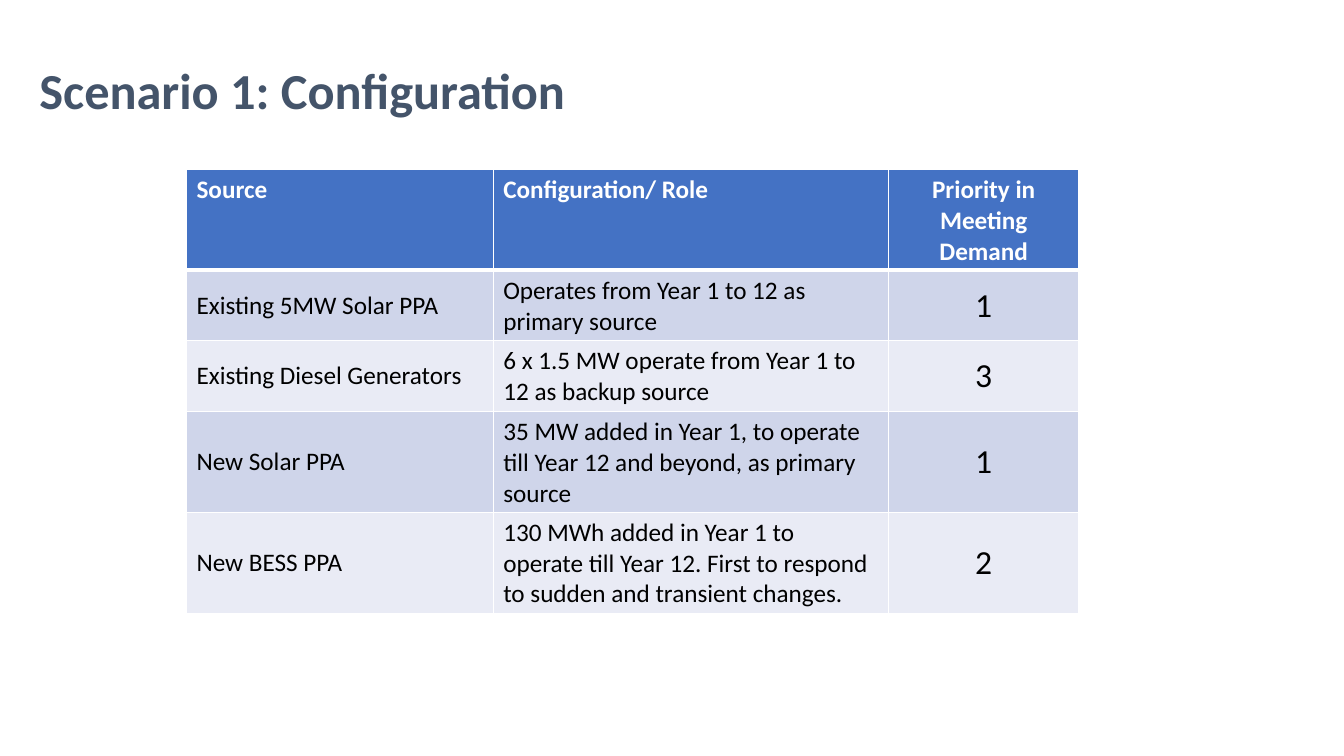
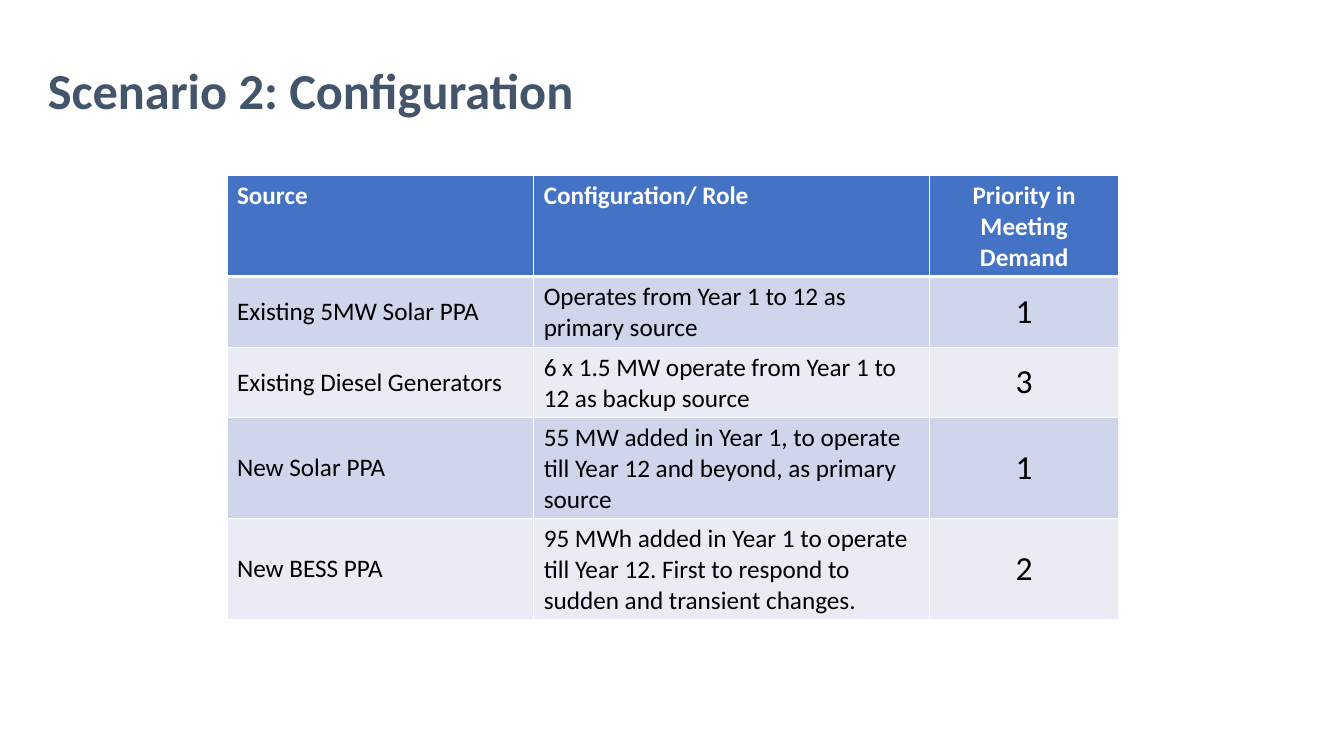
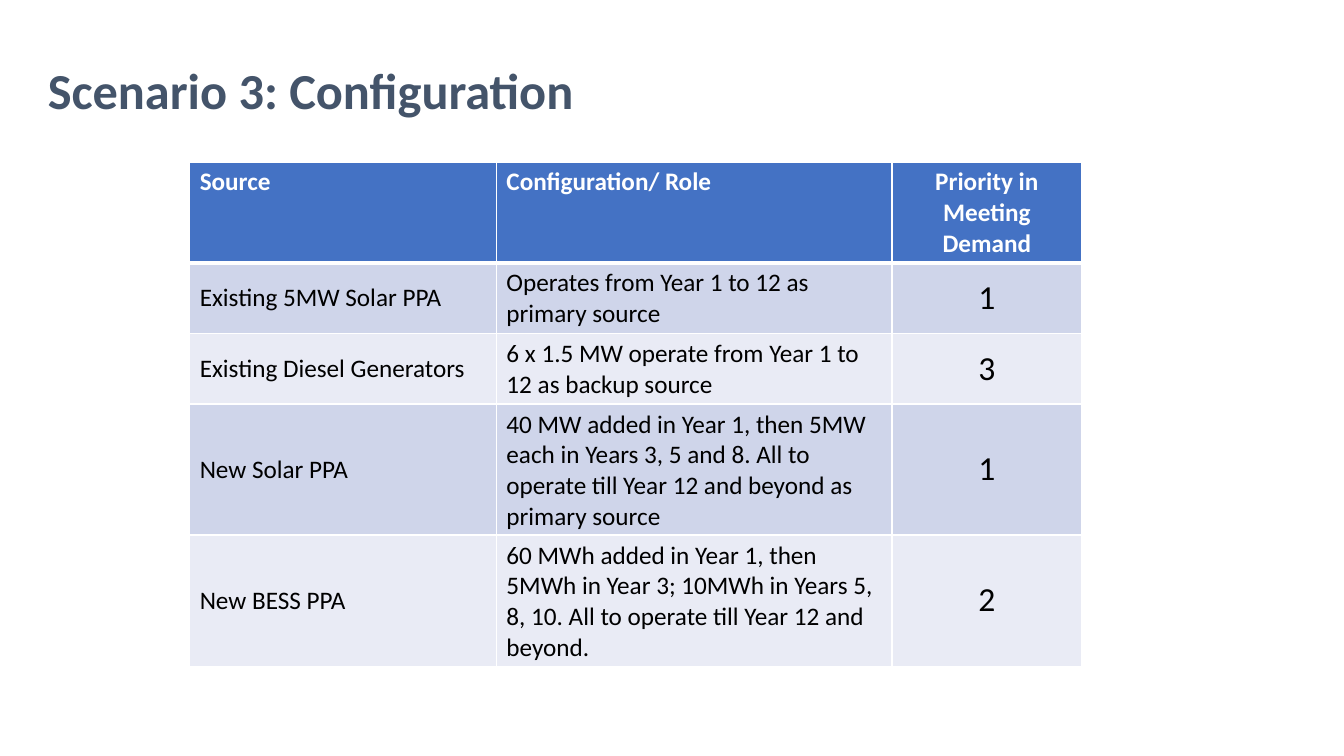
from dataclasses import dataclass

from lxml.etree import SubElement
from pptx import Presentation
from pptx.dml.color import RGBColor
from pptx.enum.text import MSO_ANCHOR, MSO_AUTO_SIZE, PP_ALIGN
from pptx.oxml.ns import qn
from pptx.slide import Slide
from pptx.table import _Cell as Cell
from pptx.text.text import _Paragraph as Paragraph
from pptx.util import Cm, Pt


@dataclass(frozen=True)
class Theme:
    font: str = "Calibri"
    title: str = "44546A"
    header: str = "4472C4"
    bands: tuple[str, str] = ("CFD5EA", "E9EBF5")
    light: str = "FFFFFF"
    dark: str = "000000"
    title_size: int = 36
    text_size: int = 18
    priority_size: int = 24
    rule: int = 1
    header_rule: int = 3


@dataclass(frozen=True)
class Scenario:
    number: int
    title_left: float
    table_left: float
    table_top: float
    solar_role: str
    storage_role: str

    def rows(self) -> list[tuple[str, str, str]]:
        return [
            ("Source", "Configuration/ Role", "Priority in Meeting Demand"),
            ("Existing 5MW Solar PPA", "Operates from Year 1 to 12 as primary source", "1"),
            ("Existing Diesel Generators",
             "6 x 1.5 MW operate from Year 1 to 12 as backup source", "3"),
            ("New Solar PPA", self.solar_role, "1"),
            ("New BESS PPA", self.storage_role, "2"),
        ]


THEME = Theme()
COLUMN_WIDTHS = (7.73, 9.97, 4.78)
ROW_HEIGHTS = (1.42, 1.42, 1.75, 1.8, 1.8)
PRIORITY_COLUMN = 2

SCENARIOS = (
    Scenario(
        1, 0.74, 4.7, 4.27,
        "35 MW added in Year 1, to operate till Year 12 and beyond, as primary source",
        "130 MWh added in Year 1 to operate till Year 12. "
        "First to respond to sudden and transient changes.",
    ),
    Scenario(
        2, 0.95, 5.72, 4.43,
        "55 MW added in Year 1, to operate till Year 12 and beyond, as primary source",
        "95 MWh added in Year 1 to operate till Year 12. "
        "First to respond to sudden and transient changes.",
    ),
    Scenario(
        3, 0.95, 4.78, 4.08,
        "40 MW added in Year 1, then 5MW each in Years 3, 5 and 8. "
        "All to operate till Year 12 and beyond as primary source",
        "60 MWh added in Year 1, then 5MWh in Year 3; 10MWh in Years 5, 8, 10. "
        "All to operate till Year 12 and beyond.",
    ),
)


def format_text(para: Paragraph, size: int, color: str, bold: bool,
                align: PP_ALIGN = PP_ALIGN.LEFT) -> None:
    para.alignment = align
    for span in para.runs:
        span.font.name = THEME.font
        span.font.size = Pt(size)
        span.font.bold = bold
        span.font.color.rgb = RGBColor.from_string(color)


def add_title(slide: Slide, scenario: Scenario) -> None:
    title = slide.shapes.title
    title.left, title.top = Cm(scenario.title_left), Cm(1.35)
    title.width, title.height = Cm(20.19), Cm(1.8)
    frame = title.text_frame
    frame.text = f"Scenario {scenario.number}: Configuration"
    frame.word_wrap = True
    frame.auto_size = MSO_AUTO_SIZE.SHAPE_TO_FIT_TEXT
    frame.vertical_anchor = MSO_ANCHOR.TOP
    format_text(frame.paragraphs[0], THEME.title_size, THEME.title, True)


def set_borders(cell: Cell, top: int, bottom: int) -> None:
    """Rule the four sides; must run before the fill, which follows them in the XML."""
    properties = cell._tc.get_or_add_tcPr()
    widths = {"a:lnL": THEME.rule, "a:lnR": THEME.rule, "a:lnT": top, "a:lnB": bottom}
    for tag, width in widths.items():
        line = SubElement(properties, qn(tag), w=str(Pt(width)))
        fill = SubElement(line, qn("a:solidFill"))
        SubElement(fill, qn("a:srgbClr"), val=THEME.light)


def fill_cell(cell: Cell, text: str, row: int, column: int) -> None:
    is_header = row == 0
    is_priority = column == PRIORITY_COLUMN
    set_borders(
        cell,
        top=THEME.header_rule if row == 1 else THEME.rule,
        bottom=THEME.header_rule if is_header else THEME.rule,
    )
    cell.fill.solid()
    cell.fill.fore_color.rgb = RGBColor.from_string(
        THEME.header if is_header else THEME.bands[(row - 1) % 2])
    cell.vertical_anchor = MSO_ANCHOR.TOP if is_header else MSO_ANCHOR.MIDDLE
    cell.text_frame.text = text
    format_text(
        cell.text_frame.paragraphs[0],
        THEME.priority_size if is_priority and not is_header else THEME.text_size,
        THEME.light if is_header else THEME.dark,
        is_header,
        PP_ALIGN.CENTER if is_priority else PP_ALIGN.LEFT,
    )


def add_configuration_table(slide: Slide, scenario: Scenario) -> None:
    table = slide.shapes.add_table(
        len(ROW_HEIGHTS), len(COLUMN_WIDTHS),
        Cm(scenario.table_left), Cm(scenario.table_top),
        Cm(sum(COLUMN_WIDTHS)), Cm(sum(ROW_HEIGHTS)),
    ).table
    for column, width in zip(table.columns, COLUMN_WIDTHS):
        column.width = Cm(width)
    for row, height in zip(table.rows, ROW_HEIGHTS):
        row.height = Cm(height)
    for row_index, texts in enumerate(scenario.rows()):
        for column_index, text in enumerate(texts):
            fill_cell(table.cell(row_index, column_index), text, row_index, column_index)


def main() -> None:
    deck = Presentation()
    deck.slide_width, deck.slide_height = Cm(33.87), Cm(19.05)
    title_only = deck.slide_layouts.get_by_name("Title Only")
    for scenario in SCENARIOS:
        slide = deck.slides.add_slide(title_only)
        add_title(slide, scenario)
        add_configuration_table(slide, scenario)
    deck.save("out.pptx")


if __name__ == "__main__":
    main()
